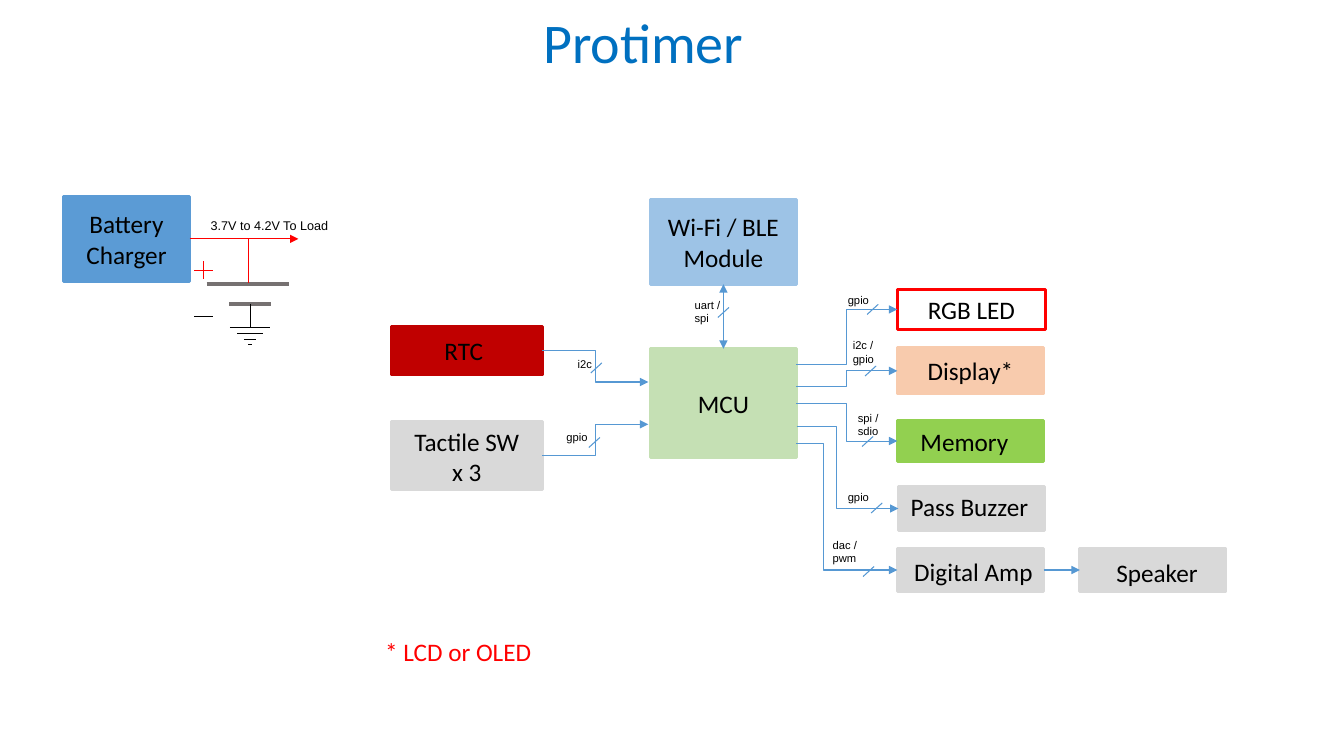
from lxml.etree import SubElement
from pptx import Presentation
from pptx.dml.color import RGBColor
from pptx.enum.shapes import MSO_CONNECTOR as Link, MSO_SHAPE as Shape
from pptx.enum.text import MSO_ANCHOR as Anchor, PP_ALIGN as Align
from pptx.oxml.ns import qn
from pptx.util import Inches, Pt

BLUE, RED, BLACK, GREY, BAR = "5698D3", "FF0000", "000000", "D9D9D9", "767171"

# Columns of the diagram: left edges and the usual box width
POWER, IN, MID, OUT, FAR, WIDE = 0.63, 3.88, 6.45, 8.9, 10.71, 1.45

# name: left, top, width, height, fill, line, text shift right and down
BOXES = {
    "Battery\nCharger": (POWER, 1.95, 1.25, 0.84, "5B9BD5", "5B9BD5", 0, 0),
    "RTC": (IN, 3.24, 1.5, 0.48, "C00000", "C00000", -0.03, 0),
    "Tactile SW\nx 3": (IN, 4.18, 1.5, 0.68, GREY, GREY, 0, 0.01),
    "Wi-Fi / BLE\nModule": (MID, 1.98, WIDE, 0.84, "9DC3E6", "9DC3E6", 0, 0),
    "MCU": (MID, 3.46, WIDE, 1.08, "C5E0B4", "C5E0B4", 0, 0),
    "RGB LED": (OUT, 2.87, 1.47, 0.4, "FFFFFF", RED, 0, 0),
    "Display*": (OUT, 3.45, WIDE, 0.46, "F8CBAD", "F8CBAD", 0, 0),
    "Memory": (OUT, 4.17, WIDE, 0.41, "92D050", "92D050", -0.06, 0),
    "Pass Buzzer": (OUT + 0.01, 4.83, WIDE, 0.43, GREY, GREY, -0.02, -0.02),
    "Digital Amp": (OUT, 5.44, WIDE, 0.43, GREY, GREY, 0.03, 0.01),
    "Speaker": (FAR, 5.44, WIDE, 0.43, GREY, GREY, 0.04, 0.02),
}

# box, height of its port on the MCU, share of the way where the wire turns
WIRES = [
    ("RTC", 3.79, 0.5), ("Tactile SW\nx 3", 4.21, 0.5),
    ("RGB LED", 3.62, 0.5), ("Display*", 3.83, 0.5), ("Memory", 4, 0.5),
    ("Pass Buzzer", 4.23, 0.39), ("Digital Amp", 4.4, 0.27),
]

# bus, left, top and width of its label, right and top of its slash
BUSES = [
    ("uart /\nspi", 6.79, 2.91, 0.49, 7.23, 3.05),
    ("i2c", 5.63, 3.5, 0.35, 5.97, 3.6),
    ("gpio", 5.52, 4.22, 0.42, 5.95, 4.34),
    ("gpio", 8.31, 2.86, 0.42, 8.71, 3.02),
    ("i2c /\ngpio", 8.36, 3.31, 0.44, 8.69, 3.63),
    ("spi /\nsdio", 8.41, 4.03, 0.44, 8.66, 4.33),
    ("gpio", 8.31, 4.82, 0.42, 8.75, 4.99),
    ("dac /\npwm", 8.16, 5.29, 0.48, 8.67, 5.62),
]

# Battery and ground: middle, height, length, colour, weight of each bar
BARS = [
    (2.46, 2.82, 0.82, BAR, 3), (2.48, 3.02, 0.41, BAR, 3),
    (2.02, 2.68, 0.19, RED, 0.75), (2.02, 3.14, 0.19, BLACK, 0.75),
    (2.48, 3.25, 0.4, BLACK, 0.75), (2.48, 3.31, 0.25, BLACK, 0.75),
    (2.48, 3.37, 0.12, BLACK, 0.75), (2.48, 3.42, 0.04, BLACK, 0.75),
]
# middle, top, bottom, colour of each upright
STEMS = [(2.02, 2.59, 2.77, RED), (2.46, 2.37, 2.81, RED), (2.48, 3.02, 3.25, BLACK)]


def color(hexa):
    return RGBColor.from_string(hexa)


def write(frame, text, size=18, font="Calibri", ink=BLACK, align=Align.CENTER, gap=None):
    frame.text = text
    for para in frame.paragraphs:
        para.alignment = align
        para.line_spacing = gap
        for run in para.runs:
            run.font.size, run.font.name = Pt(size), font
            run.font.color.rgb = color(ink)


def label(slide, text, x, y, w, h, **form):
    frame = slide.shapes.add_textbox(*map(Inches, (x, y, w, h))).text_frame
    frame.word_wrap = False
    write(frame, text, **form)


def box(slide, text, x, y, w, h, fill, edge, right, down):
    item = slide.shapes.add_shape(Shape.RECTANGLE, *map(Inches, (x, y, w, h)))
    item.shadow.inherit = False
    item.fill.solid()
    item.fill.fore_color.rgb = color(fill)
    item.line.color.rgb = color(edge)
    item.line.width = Pt(2)
    frame = item.text_frame
    frame.vertical_anchor = Anchor.MIDDLE
    # A margin on one side moves centred text by half its size
    frame.margin_left, frame.margin_right = Inches(max(2 * right, 0)), Inches(max(-2 * right, 0))
    frame.margin_top, frame.margin_bottom = Inches(max(2 * down, 0)), Inches(max(-2 * down, 0))
    write(frame, text)
    return item


def wire(slide, x1, y1, x2, y2, ink=BLUE, weight=0.75, ends=(), turn=None):
    """Draw a line; ends lists the arrowheads, turn makes it an elbow."""
    kind = Link.STRAIGHT if turn is None else Link.ELBOW
    item = slide.shapes.add_connector(kind, *map(Inches, (x1, y1, x2, y2)))
    item.line.color.rgb = color(ink)
    item.line.width = Pt(weight)
    props = item.element.spPr
    for end in ends:
        SubElement(props.find(qn("a:ln")), qn("a:" + end), type="triangle")
    SubElement(props, qn("a:effectLst"))
    if turn is not None:
        geom = props.find(qn("a:prstGeom"))
        guides = geom.find(qn("a:avLst"))
        if guides is None:
            guides = SubElement(geom, qn("a:avLst"))
        SubElement(guides, qn("a:gd"), name="adj1", fmla=f"val {round(turn * 100000)}")
    return item


def main():
    deck = Presentation()
    deck.slide_width, deck.slide_height = Inches(13.33), Inches(7.5)
    slide = deck.slides.add_slide(deck.slide_layouts[5])

    title = slide.shapes.title
    title.left, title.top, title.width, title.height = map(Inches, (POWER, 0.21, 11.5, 0.49))
    title.text_frame.vertical_anchor = Anchor.MIDDLE
    write(title.text_frame, "Protimer", size=40, ink="0070C0", gap=0.9)

    parts = {name: box(slide, name, *form) for name, form in BOXES.items()}

    for name, port, turn in WIRES:
        x, y, w, h = BOXES[name][:4]
        mid = y + h / 2
        ends = (x + w, mid, MID - 0.02, port) if x < MID else (MID + WIDE, port, x, mid)
        wire(slide, *ends, ends=["tailEnd"], turn=turn)

    radio = wire(slide, 7.17, 2.82, 7.17, 3.46, ends=["headEnd", "tailEnd"])
    radio.begin_connect(parts["Wi-Fi / BLE\nModule"], 2)
    radio.end_connect(parts["MCU"], 0)
    sound = wire(slide, OUT + WIDE, 5.66, FAR, 5.66, ends=["tailEnd"])
    sound.begin_connect(parts["Digital Amp"], 3)
    sound.end_connect(parts["Speaker"], 1)
    load = wire(slide, 1.88, 2.37, 2.96, 2.37, ink=RED, ends=["tailEnd"])
    load.begin_connect(parts["Battery\nCharger"], 3)

    for bus, x, y, w, right, top in BUSES:
        wire(slide, right, top, right - 0.11, top + 0.1)
        high = 0.37 if "\n" in bus else 0.24
        label(slide, bus, x, y, w, high, size=8, font="Arial", align=Align.LEFT)

    for mid, y, size, ink, weight in BARS:
        wire(slide, mid - size / 2, y, mid + size / 2, y, ink=ink, weight=weight)
    for x, top, low, ink in STEMS:
        wire(slide, x, top, x, low, ink=ink)

    label(slide, "3.7V to 4.2V To Load", 1.99, 2.11, 1.39, 0.25,
          size=9, font="Arial", align=Align.LEFT)
    label(slide, "* LCD or OLED", 3.71, 6.26, 1.67, 0.4, ink=RED)
    deck.save("out.pptx")


if __name__ == "__main__":
    main()
